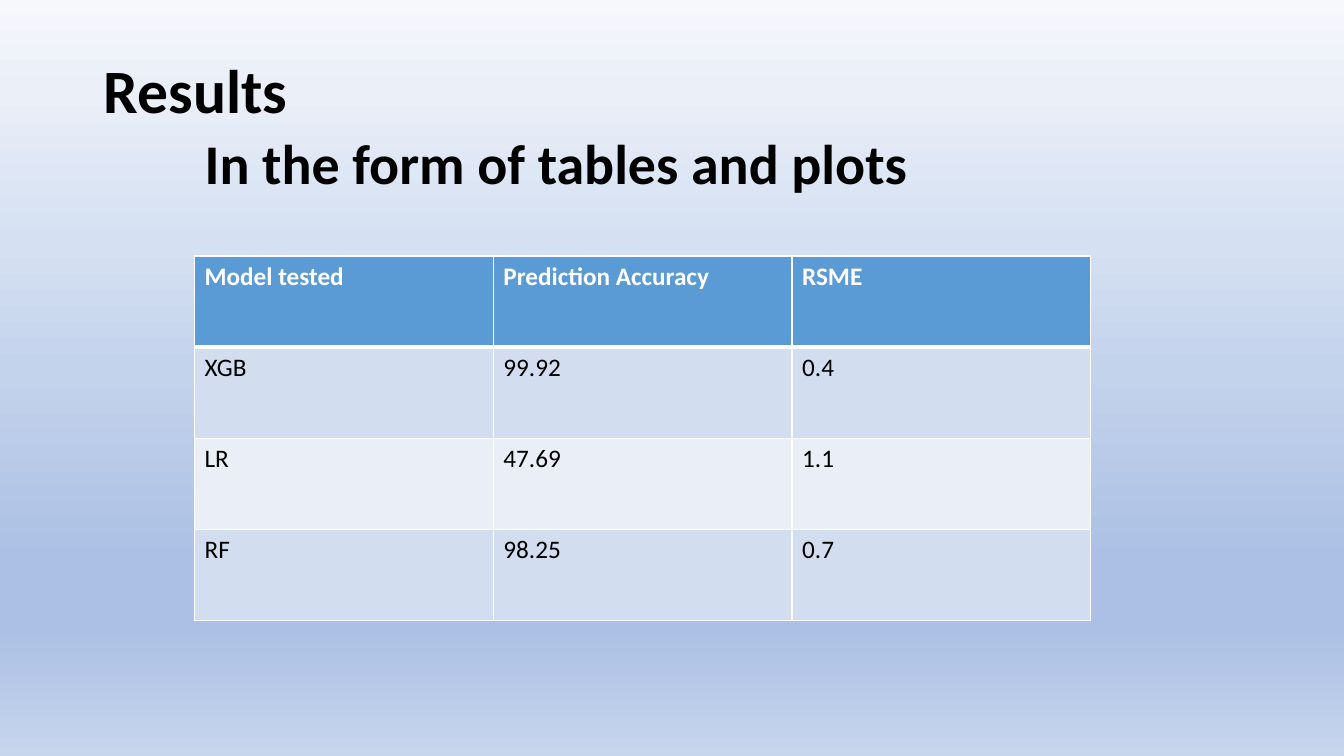
from lxml import etree
from pptx import Presentation
from pptx.dml.color import RGBColor
from pptx.enum.text import MSO_ANCHOR, PP_ALIGN
from pptx.oxml.ns import qn
from pptx.util import Inches, Pt

LEFT = PP_ALIGN.LEFT
TOP, MIDDLE = MSO_ANCHOR.TOP, MSO_ANCHOR.MIDDLE

TITLE = "Results"
SUBTITLE = "In the form of tables and plots"
RESULTS = [
    ("Model tested", "Prediction Accuracy", "RSME"),
    ("XGB", "99.92", "0.4"),
    ("LR", "47.69", "1.1"),
    ("RF", "98.25", "0.7"),
]
BACKGROUND = [
    (0, "F6F8FC"), (12, "EAEFF8"), (32, "D5E0F2"), (49, "C4D3EC"),
    (74, "ABC0E4"), (83, "ABC0E4"), (100, "C7D5ED"),
]
HEADER_FILL = "5B9BD5"
BAND_FILLS = ("EAEFF7", "D2DEEF")
WHITE, BLACK = "FFFFFF", "000000"

WIDTH, HEIGHT = 13.33, 7.5
TITLE_BOX = (0.93, 0.2, 11.5, 1.45)
SUBTITLE_BOX = (1.93, 1.3, 7.49, 1.1)
TABLE_BOX = (1.93, 2.54, 8.89, 3.62)


def color(value):
    return RGBColor.from_string(value)


def write(frame, text, size=18, bold=False, ink=BLACK, anchor=TOP,
          line=1.0, before=0):
    frame.word_wrap = True
    frame.vertical_anchor = anchor
    para = frame.paragraphs[0]
    para.alignment = LEFT
    para.line_spacing = line
    para.space_before = Pt(before)
    span = para.add_run()
    span.text = text
    span.font.name = "Calibri"
    span.font.size = Pt(size)
    span.font.bold = bold
    span.font.color.rgb = color(ink)
    return para


def place(shape, box):
    shape.left, shape.top, shape.width, shape.height = map(Inches, box)


def paint_background(page):
    fill = page.background.fill
    fill.gradient()
    fill.gradient_angle = 270
    stops = page.background._cSld.find(".//" + qn("a:gsLst"))
    for stop in list(stops):
        stops.remove(stop)
    for percent, value in BACKGROUND:
        stop = etree.SubElement(stops, qn("a:gs"), pos=str(percent * 1000))
        etree.SubElement(stop, qn("a:srgbClr"), val=value)


def add_borders(cell, widths):
    properties = cell._tc.get_or_add_tcPr()
    for side, width in zip("LRTB", widths):
        border = etree.SubElement(properties, qn("a:ln" + side), w=str(Pt(width)))
        solid = etree.SubElement(border, qn("a:solidFill"))
        etree.SubElement(solid, qn("a:srgbClr"), val=WHITE)


def add_results(page):
    rows, columns = len(RESULTS), len(RESULTS[0])
    table = page.shapes.add_table(rows, columns, *map(Inches, TABLE_BOX)).table
    for column in table.columns:
        column.width = Inches(TABLE_BOX[2] / columns)
    for index, values in enumerate(RESULTS):
        header = index == 0
        table.rows[index].height = Inches(TABLE_BOX[3] / rows)
        for position, text in enumerate(values):
            cell = table.cell(index, position)
            add_borders(cell, (1, 1, 3 if index == 1 else 1, 3 if header else 1))
            cell.fill.solid()
            cell.fill.fore_color.rgb = color(
                HEADER_FILL if header else BAND_FILLS[index % 2])
            write(cell.text_frame, text, bold=header,
                  ink=WHITE if header else BLACK)


def main():
    deck = Presentation()
    deck.slide_width, deck.slide_height = Inches(WIDTH), Inches(HEIGHT)
    page = deck.slides.add_slide(deck.slide_layouts[1])
    paint_background(page)

    title, body = page.shapes.title, page.placeholders[1]
    place(title, TITLE_BOX)
    write(title.text_frame, TITLE, size=44, bold=True, anchor=MIDDLE, line=0.9)
    place(body, SUBTITLE_BOX)
    para = write(body.text_frame, SUBTITLE, size=40, bold=True, line=0.9, before=10)
    properties = para._p.get_or_add_pPr()
    properties.set("marL", "0")
    properties.set("indent", "0")
    etree.SubElement(properties, qn("a:buNone"))

    add_results(page)
    deck.save("out.pptx")


if __name__ == "__main__":
    main()
